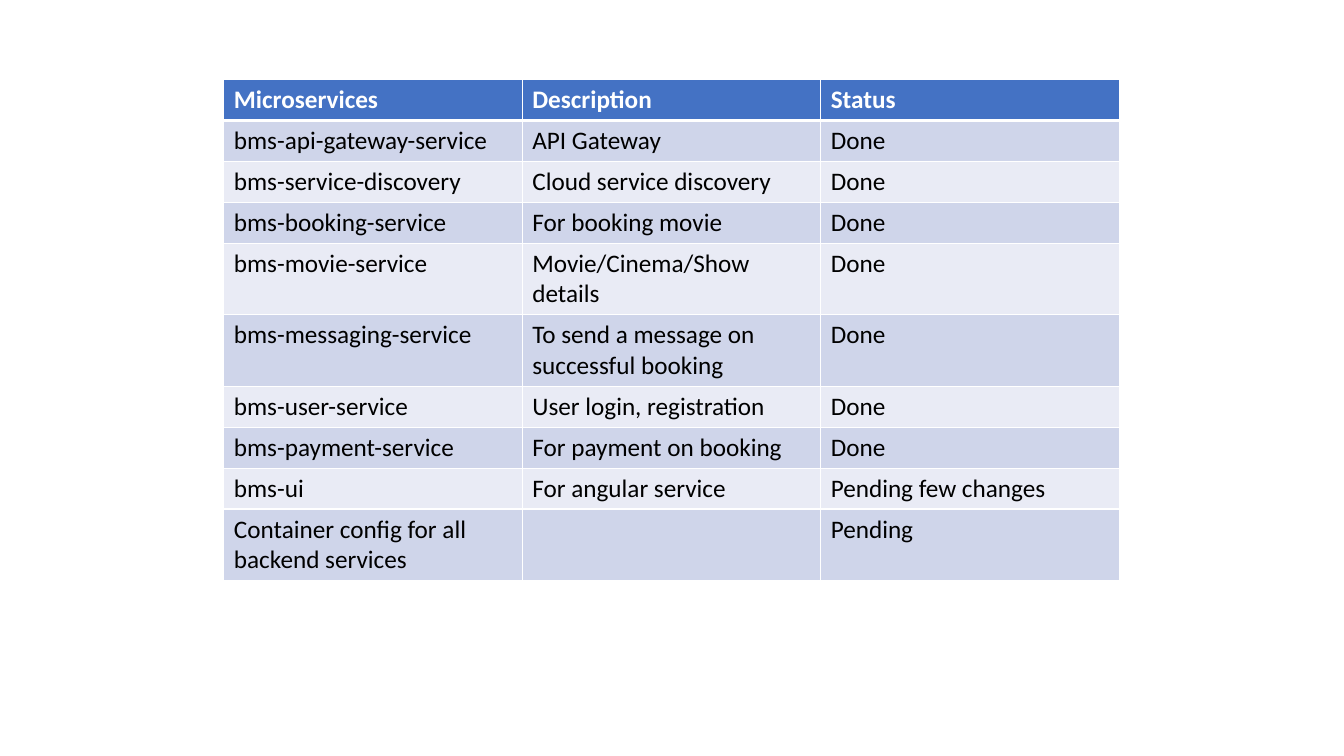
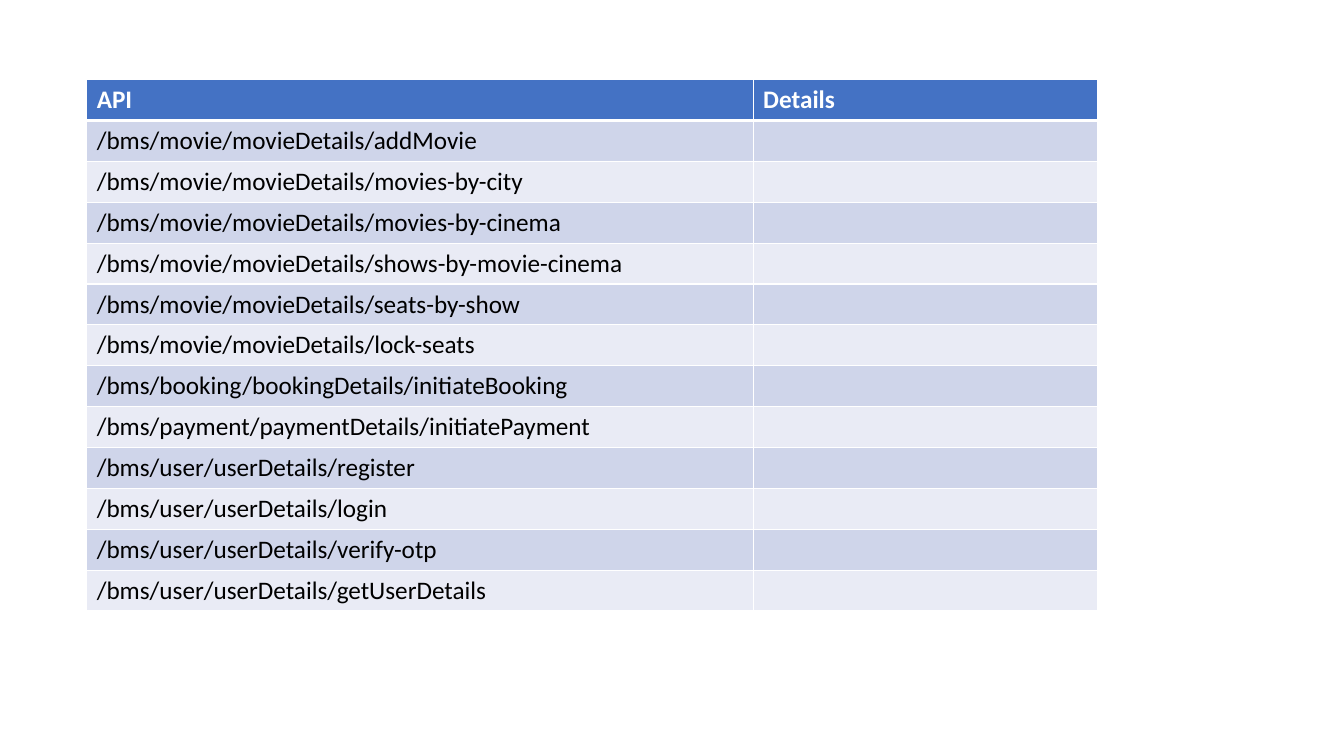
from dataclasses import dataclass

from lxml import etree
from pptx import Presentation
from pptx.dml.color import RGBColor
from pptx.oxml.ns import qn
from pptx.util import Inches, Pt


# Theme: colours, type and line sizes
@dataclass(frozen=True)
class Theme:
    font: str = "Calibri"
    text_size: int = 18
    header_fill: str = "4472C4"
    header_text: str = "FFFFFF"
    body_text: str = "000000"
    bands: tuple = ("CFD5EA", "E9EBF5")
    border: str = "FFFFFF"
    thin: int = 1
    thick: int = 3
    table_top: float = 0.79
    row_height: float = 0.4


# Deck: the style and the current slide
class Deck:
    def __init__(self, theme):
        self.theme = theme
        self.presentation = Presentation()
        self.presentation.slide_width = Inches(13.33)
        self.presentation.slide_height = Inches(7.5)
        self.slide = None

    def add_slide(self):
        blank_layout = self.presentation.slide_layouts[6]
        self.slide = self.presentation.slides.add_slide(blank_layout)

    def add_table(self, left, widths, rows):
        theme = self.theme
        table = self.slide.shapes.add_table(
            len(rows), len(widths), Inches(left), Inches(theme.table_top),
            Inches(sum(widths)), Inches(theme.row_height * len(rows))).table
        table.horz_banding = False
        for column, width in zip(table.columns, widths):
            column.width = Inches(width)
        for row_index, (row, texts) in enumerate(zip(table.rows, rows)):
            row.height = Inches(theme.row_height)
            for cell, text in zip(row.cells, texts):
                self.style_cell(cell, row_index)
                if text:
                    self.add_run(cell, text, is_header=row_index == 0)

    def style_cell(self, cell, row_index):
        theme = self.theme
        fill = theme.bands[(row_index - 1) % 2] if row_index else theme.header_fill
        cell.fill.solid()
        cell.fill.fore_color.rgb = RGBColor.from_string(fill)
        # The thick rule lies between the header and the first body row
        top = theme.thick if row_index == 1 else theme.thin
        bottom = theme.thick if row_index == 0 else theme.thin
        self.add_borders(cell, L=theme.thin, R=theme.thin, T=top, B=bottom)

    def add_borders(self, cell, **widths):
        properties = cell._tc.get_or_add_tcPr()
        for position, (side, width) in enumerate(widths.items()):
            line = etree.Element(qn(f"a:ln{side}"), w=str(Pt(width)))
            solid = etree.SubElement(line, qn("a:solidFill"))
            etree.SubElement(solid, qn("a:srgbClr"), val=self.theme.border)
            properties.insert(position, line)

    def add_run(self, cell, text, is_header):
        theme = self.theme
        run = cell.text_frame.paragraphs[0].add_run()
        run.text = text
        run.font.name = theme.font
        run.font.size = Pt(theme.text_size)
        run.font.bold = is_header
        color = theme.header_text if is_header else theme.body_text
        run.font.color.rgb = RGBColor.from_string(color)


MICROSERVICES = [
    ("Microservices", "Description", "Status"),
    ("bms-api-gateway-service", "API Gateway", "Done"),
    ("bms-service-discovery", "Cloud service discovery", "Done"),
    ("bms-booking-service", "For booking movie", "Done"),
    ("bms-movie-service", "Movie/Cinema/Show details", "Done"),
    ("bms-messaging-service", "To send a message on successful booking", "Done"),
    ("bms-user-service", "User login, registration", "Done"),
    ("bms-payment-service", "For payment on booking", "Done"),
    ("bms-ui", "For angular service", "Pending few changes"),
    ("Container config for all backend services", "", "Pending"),
]

ENDPOINTS = [
    "/bms/movie/movieDetails/addMovie",
    "/bms/movie/movieDetails/movies-by-city",
    "/bms/movie/movieDetails/movies-by-cinema",
    "/bms/movie/movieDetails/shows-by-movie-cinema",
    "/bms/movie/movieDetails/seats-by-show",
    "/bms/movie/movieDetails/lock-seats",
    "/bms/booking/bookingDetails/initiateBooking",
    "/bms/payment/paymentDetails/initiatePayment",
    "/bms/user/userDetails/register",
    "/bms/user/userDetails/login",
    "/bms/user/userDetails/verify-otp",
    "/bms/user/userDetails/getUserDetails",
]


def main():
    deck = Deck(Theme())

    # Slide 1: microservices and their status
    deck.add_slide()
    deck.add_table(2.22, [2.96] * 3, MICROSERVICES)

    # Slide 2: API endpoints
    deck.add_slide()
    endpoint_rows = [(endpoint, "") for endpoint in ENDPOINTS]
    deck.add_table(0.86, [6.61, 3.42], [("API", "Details")] + endpoint_rows)

    deck.presentation.save("out.pptx")


if __name__ == "__main__":
    main()
